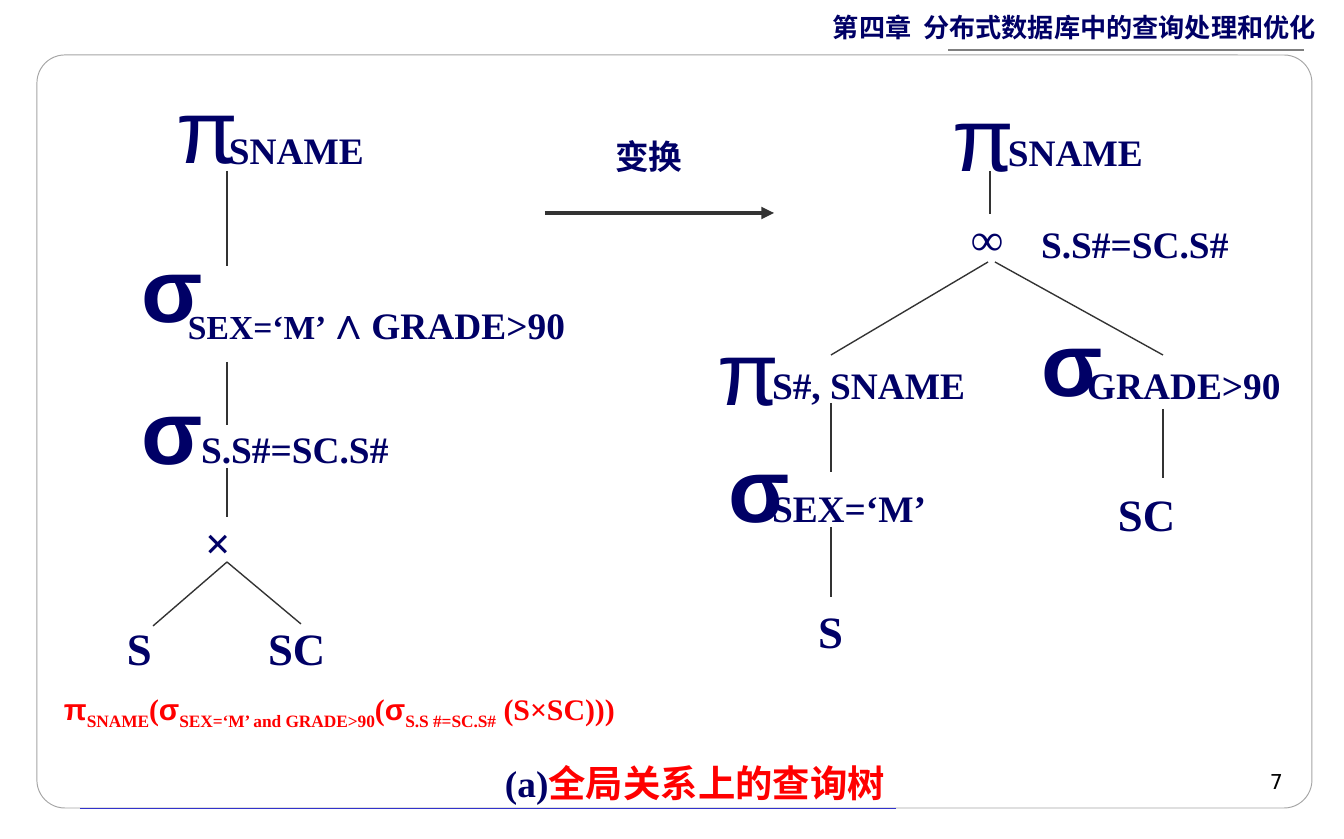
from dataclasses import dataclass

from lxml.etree import SubElement
from pptx import Presentation
from pptx.dml.color import RGBColor
from pptx.enum.shapes import MSO_CONNECTOR as Connector, MSO_SHAPE as Shape
from pptx.enum.text import PP_ALIGN as Align
from pptx.oxml.ns import qn
from pptx.util import Pt

EMU_PER_PX = 914400 / 134.4


@dataclass(frozen=True)
class Theme:
    navy: str = "000066"
    red: str = "FF0000"
    ink: str = "333333"
    black: str = "000000"
    white: str = "FFFFFF"
    frame: str = "A5A5A5"
    rule: str = "7F7F7F"
    blue: str = "3333CC"
    serif: str = "Times New Roman"
    sans: str = "Arial"
    chinese: str = "Noto Sans CJK SC"
    number: str = "DejaVu Sans"
    operator: int = 48
    relation: int = 24
    subscript: int = 20
    small: int = 18
    formula: int = 16
    header: int = 14
    page: int = 11


THEME = Theme()


def px(value):
    return round(value * EMU_PER_PX)


def style(size=THEME.subscript, font=THEME.serif, color=THEME.navy, bold=True, baseline=0, spacing=0):
    return size, font, color, bold, baseline, spacing


LABEL = style()
LEAF = style(THEME.relation)
PI = style(THEME.operator, THEME.sans, bold=False)
SIGMA = style(THEME.operator, THEME.sans)


def add_text(slide, box, *pieces, align=Align.LEFT, line_spacing=None):
    shape = slide.shapes.add_textbox(*map(px, box))
    frame = shape.text_frame
    frame.word_wrap = True
    frame.margin_left = frame.margin_right = px(13)
    frame.margin_top = frame.margin_bottom = px(7)
    paragraph = frame.paragraphs[0]
    paragraph.alignment = align
    paragraph.line_spacing = line_spacing
    for text, (size, font, color, bold, baseline, spacing) in pieces:
        run = paragraph.add_run()
        run.text = text
        run.font.size = Pt(size)
        run.font.name = font
        run.font.bold = bold
        run.font.color.rgb = RGBColor.from_string(color)
        properties = run.font._element
        if baseline:
            properties.set("baseline", str(baseline * 1000))
        if spacing:
            properties.set("spc", str(spacing * 100))
        SubElement(properties, qn("a:ea")).set("typeface", THEME.chinese)


def add_line(slide, start, end, color=THEME.ink, width=0.75, arrow=False):
    line = slide.shapes.add_connector(Connector.STRAIGHT, *map(px, (*start, *end)))
    line.line.color.rgb = RGBColor.from_string(color)
    line.line.width = Pt(width)
    if arrow:
        SubElement(line.line._get_or_add_ln(), qn("a:tailEnd")).set("type", "triangle")
    SubElement(line._element.spPr, qn("a:effectLst"))


def add_frame(slide, box):
    left, top, width, height = box
    panel = slide.shapes.add_shape(Shape.ROUNDED_RECTANGLE, *map(px, box))
    panel.adjustments[0] = 0.037
    panel.shadow.inherit = False
    panel.fill.solid()
    panel.fill.fore_color.rgb = RGBColor.from_string(THEME.white)
    fill_color = panel._element.spPr.find(qn("a:solidFill"))[0]
    SubElement(fill_color, qn("a:alpha")).set("val", "85000")
    panel.line.color.rgb = RGBColor.from_string(THEME.frame)
    panel.line.width = Pt(0.5)
    bottom = top + height
    add_line(slide, (left + 43, bottom), (left + 859, bottom), THEME.blue, 0.25)
    add_text(slide, (left + 1141, bottom - 46, 118, 38),
             ("7", style(THEME.page, THEME.number, THEME.black, False)), align=Align.RIGHT)


def add_header(slide, box):
    left, top, width, height = box
    title = style(THEME.header, THEME.chinese)
    gap = style(THEME.header, THEME.chinese, spacing=3)
    add_text(slide, box, ("第四章", title), (" ", gap), ("分布式数据库中的查询处理和优化", title))
    add_line(slide, (left + 484, top + 46), (left + 128, top + 46), THEME.rule)


def add_tree(slide, box, nodes, edges):
    left, top = box[:2]
    for x, y, width, height, *pieces in nodes:
        add_text(slide, (left + x, top + y, width, height), *pieces)
    for x1, y1, x2, y2 in edges:
        add_line(slide, (left + x1, top + y1), (left + x2, top + y2))


def add_global_tree(slide, box):
    nodes = [
        (50, 0, 179, 121, ("π", PI)),
        (102, 53, 202, 59, ("SNAME", LABEL)),
        (14, 159, 90, 121, ("σ", SIGMA)),
        (61, 221, 423, 67, ("SEX=‘M’", style(THEME.small)),
         ("∧", style(THEME.relation, THEME.sans, bold=False)), ("GRADE>90", LABEL)),
        (14, 301, 90, 121, ("σ", SIGMA)),
        (74, 352, 241, 59, ("S.S#=SC.S#", LABEL)),
        (78, 441, 74, 67, ("×", LEAF)),
        (0, 547, 83, 67, ("S", LEAF)),
        (141, 547, 110, 67, ("SC", LEAF)),
    ]
    edges = [(113, 104, 113, 199), (113, 295, 113, 358), (113, 401, 113, 450),
             (113, 495, 39, 559), (113, 495, 187, 557)]
    add_tree(slide, box, nodes, edges)


def add_transformed_tree(slide, box):
    nodes = [
        (235, 0, 179, 121, ("π", PI)),
        (291, 47, 202, 59, ("SNAME", LABEL)),
        (254, 129, 70, 67, ("∞", LEAF)),
        (324, 139, 241, 59, ("S.S#=SC.S#", LABEL)),
        (0, 234, 179, 121, ("π", PI)),
        (55, 280, 235, 59, ("S#, SNAME", LABEL)),
        (324, 225, 90, 121, ("σ", SIGMA)),
        (370, 280, 246, 59, ("GRADE>90", LABEL)),
        (11, 351, 90, 121, ("σ", SIGMA)),
        (55, 403, 246, 59, ("SEX=‘M’", LABEL)),
        (101, 522, 90, 67, ("S", LEAF)),
        (401, 405, 125, 67, ("SC", LEAF)),
    ]
    edges = [(286, 96, 286, 139), (284, 187, 127, 280), (291, 187, 459, 280),
             (127, 328, 127, 397), (459, 334, 459, 403), (127, 452, 127, 522)]
    add_tree(slide, box, nodes, edges)


def add_transformation(slide, box):
    left, top, width, height = box
    add_text(slide, (left + 57, top, 117, 67), ("变换", style(THEME.small)))
    add_line(slide, (left, top + height), (left + width, top + height), width=2.25, arrow=True)


def add_formula(slide, box):
    main = style(THEME.formula, color=THEME.red)
    greek = style(THEME.formula, THEME.sans, THEME.red)
    lowered = style(THEME.formula, color=THEME.red, baseline=-25)
    add_text(slide, box, ("π", greek), ("SNAME", lowered), ("(", main), ("σ", greek),
             ("SEX=‘M’ and GRADE>90", lowered), ("(", main), ("σ", greek),
             ("S.S #=SC.S#", lowered), (" (S×SC)))", main), line_spacing=0.9)


def add_caption(slide, box):
    add_text(slide, box, ("(a)", LABEL), ("全局关系上的查询树", style(color=THEME.red)))


def main():
    presentation = Presentation()
    presentation.slide_width = px(1344)
    presentation.slide_height = px(839)
    slide = presentation.slides.add_slide(presentation.slide_layouts[6])
    add_frame(slide, (37, 55, 1275, 753))
    add_header(slide, (820, 4, 519, 44))
    add_global_tree(slide, (114, 67, 484, 614))
    add_transformation(slide, (545, 129, 229, 84))
    add_transformed_tree(slide, (704, 75, 616, 589))
    add_formula(slide, (51, 684, 632, 51))
    add_caption(slide, (492, 753, 445, 59))
    presentation.save("out.pptx")


if __name__ == "__main__":
    main()
